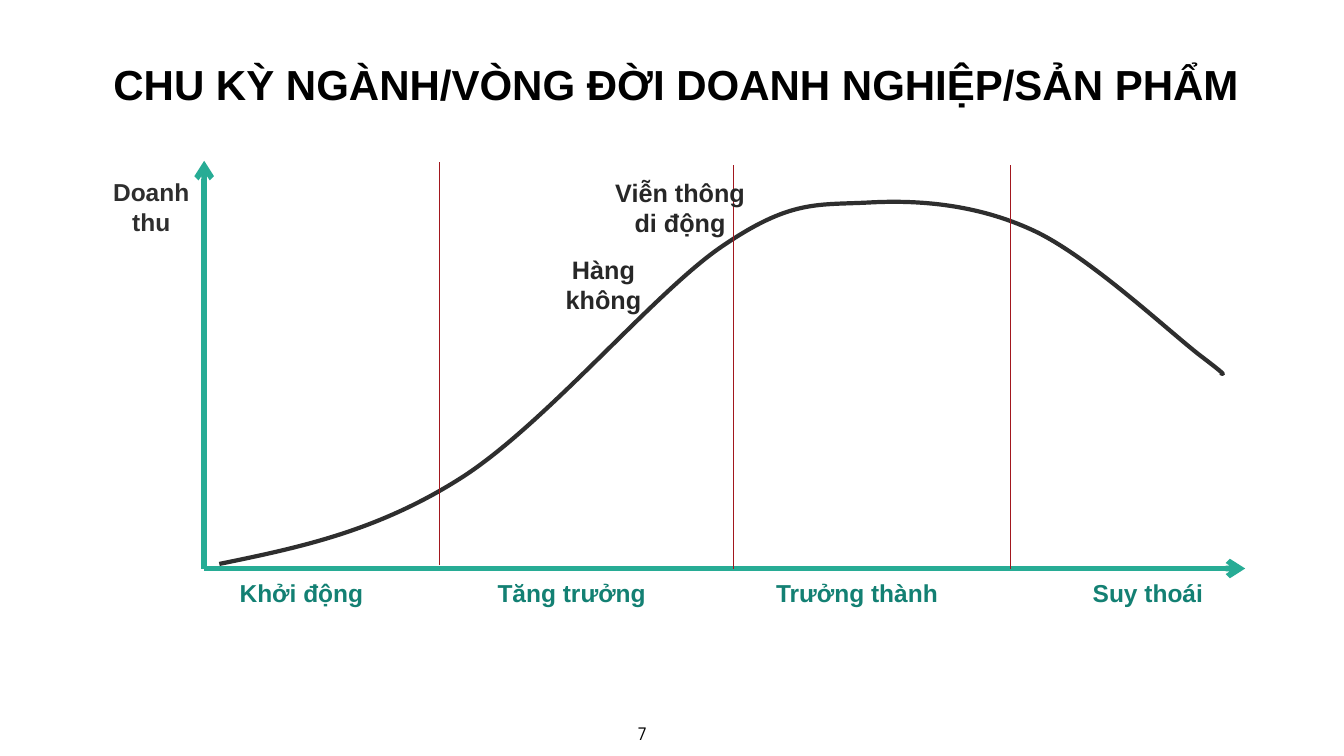
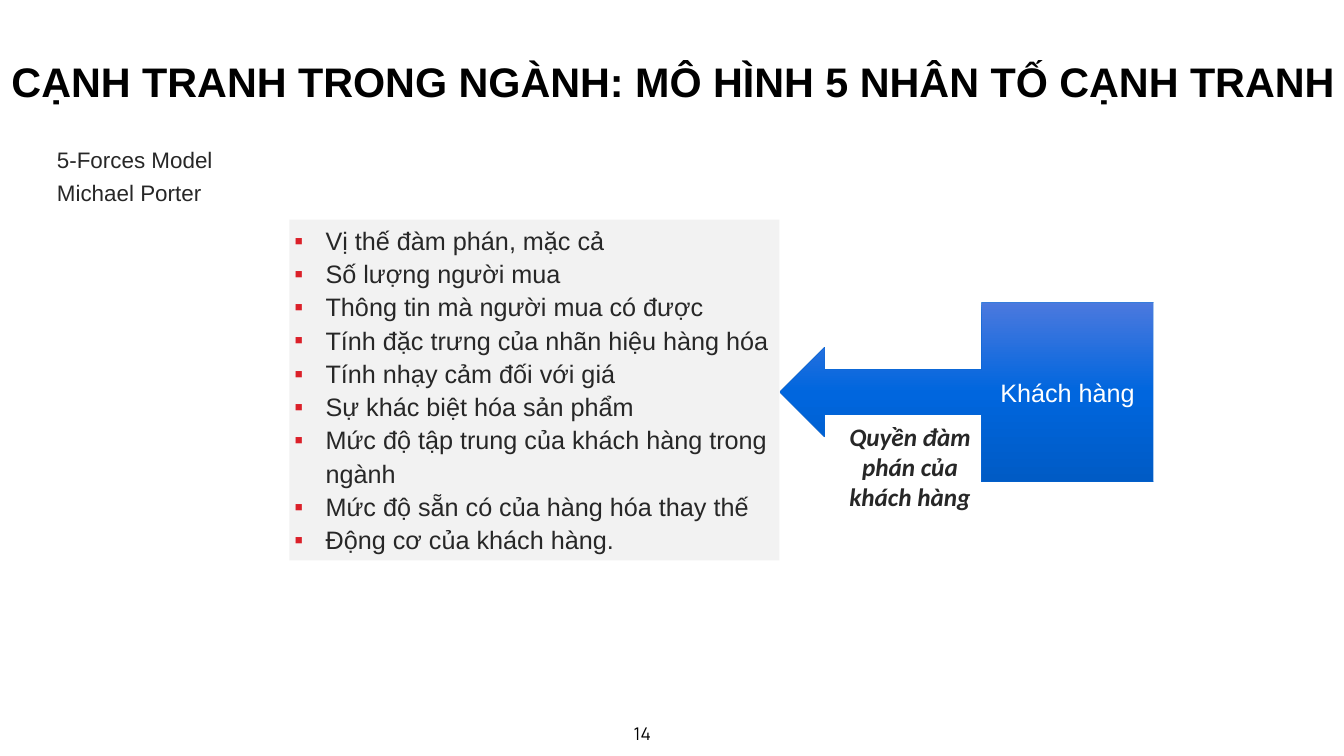
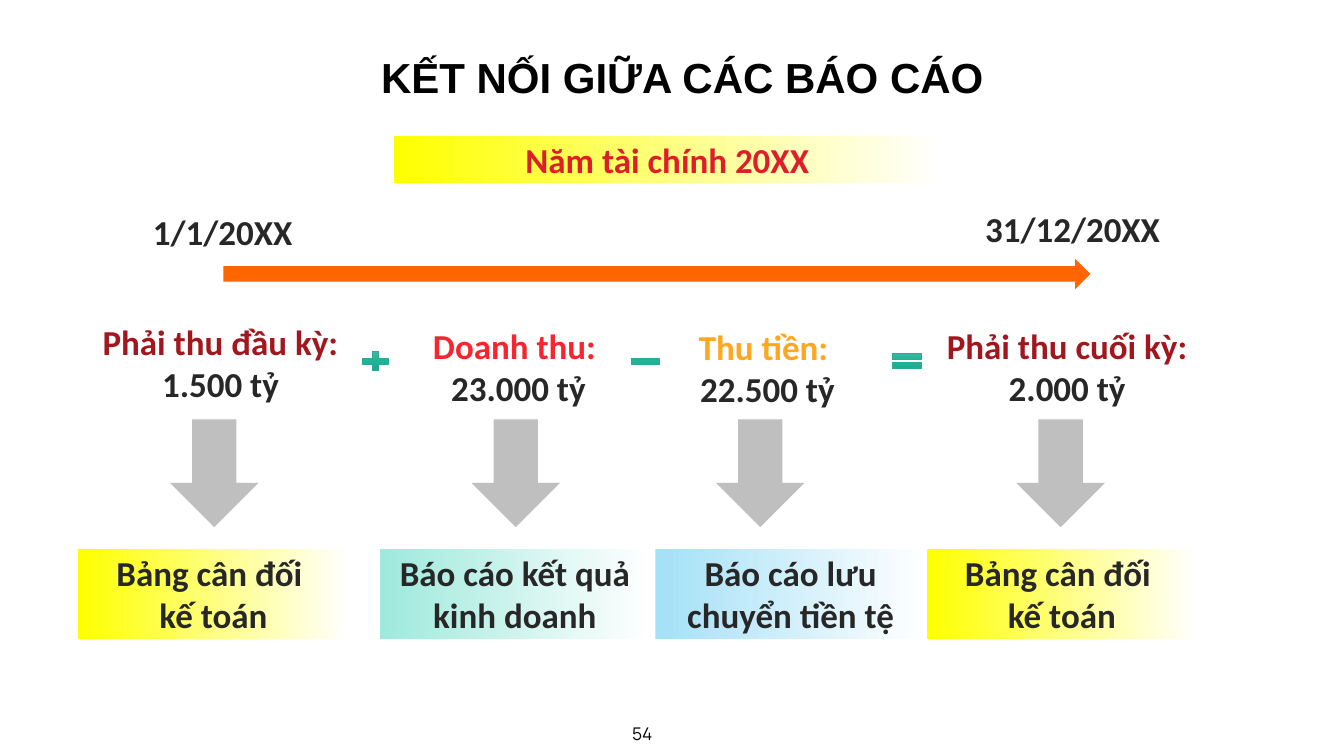
from lxml.etree import SubElement
from pptx import Presentation
from pptx.dml.color import RGBColor
from pptx.enum.shapes import MSO_CONNECTOR, MSO_SHAPE as SHAPE
from pptx.enum.text import MSO_ANCHOR as ANCHOR, MSO_AUTO_SIZE as AUTO, PP_ALIGN as ALIGN
from pptx.oxml.ns import qn
from pptx.util import Pt

PX = 9144  # 100 px to the inch
WIDE, HIGH = 2666, 1500

HUES = {
    "black": "000000", "white": "FFFFFF", "ink": "272727", "curve": "2E2E2E",
    "teal": "27AC95", "stage": "138073", "wine": "A2171E", "red": "DB2029",
    "rose": "F8242E", "amber": "FFA720", "orange": "FF6600", "grey": "BFBFBF",
    "pale": "F2F2F2", "yellow": "FFFF00", "mint": "9EE9DC", "sky": "A4E0F7",
    "blue": "0A67D4", "blue1": "4B79DE", "blue2": "0066DE", "blue3": "005BC5",
    "teal1": "51B7A2", "teal2": "20B399", "teal3": "17A58C",
}

TITLE = {"name": "Arial", "size": Pt(60), "bold": True}
PAGE = {"name": "Manrope", "size": Pt(25)}
AXIS = {"name": "Arial", "size": Pt(35), "bold": True}
TAG = {"name": "Arial", "size": Pt(36), "bold": True}
BODY = {"name": "Arial", "size": Pt(36)}
NOTE = {"name": "Arial", "size": Pt(32)}
POWER = {"name": "Calibri", "size": Pt(36), "bold": True, "italic": True}
BIG = {"name": "Calibri", "size": Pt(50), "bold": True}

CENTER = {"alignment": ALIGN.CENTER}


def rgb(hue):
    return RGBColor.from_string(HUES[hue])


def px(*vals):
    return [val * PX for val in vals]


def apply(obj, form):
    for key, val in form.items():
        setattr(obj, key, val)


def write(shape, lines, font, para=CENTER, hue="ink", grow=True):
    """Fill a shape with lines, each a string or a (string, hue) pair."""
    frame = shape.text_frame
    apply(frame, {"word_wrap": True, "auto_size": AUTO.SHAPE_TO_FIT_TEXT if grow else AUTO.NONE,
                  "vertical_anchor": ANCHOR.TOP if grow else ANCHOR.MIDDLE})
    for num, line in enumerate(lines):
        text, tone = line if isinstance(line, tuple) else (line, hue)
        par = frame.add_paragraph() if num else frame.paragraphs[0]
        apply(par, para)
        run = par.add_run()
        run.text = text
        apply(run.font, font)
        run.font.color.rgb = rgb(tone)


def label(slide, box, lines, font, para=CENTER, hue="ink"):
    write(slide.shapes.add_textbox(*px(*box)), lines, font, para, hue)


def shade(shape, hues, turn):
    """Blend evenly spaced hues; turn is counter-clockwise degrees."""
    shape.fill.gradient()
    shape.fill.gradient_angle = turn
    stops = shape._element.spPr.find(".//" + qn("a:gsLst"))
    stops.clear()
    for num, hue in enumerate(hues):
        stop = SubElement(stops, qn("a:gs"), pos=str(num * 100000 // (len(hues) - 1)))
        SubElement(stop, qn("a:srgbClr"), val=HUES[hue])


def block(slide, kind, box, hues, turn=0, edge=None):
    shape = slide.shapes.add_shape(kind, *px(*box))
    shape.shadow.inherit = False
    if len(hues) > 1:
        shade(shape, hues, turn)
    else:
        shape.fill.solid()
        shape.fill.fore_color.rgb = rgb(hues[0])
    if edge:
        shape.line.color.rgb = rgb(edge)
        shape.line.width = Pt(0.5)
    else:
        shape.line.fill.background()
    return shape


def card(slide, box, hue, lines, tone="ink"):
    """Text on a band that fades to white."""
    write(block(slide, SHAPE.RECTANGLE, box, [hue, "white"]), lines, BIG, hue=tone)


def rule(slide, start, end, hue, width, head=False):
    line = slide.shapes.add_connector(MSO_CONNECTOR.STRAIGHT, *px(*start, *end))
    line.line.color.rgb = rgb(hue)
    line.line.width = Pt(width)
    if head:
        SubElement(line.line._get_or_add_ln(), qn("a:tailEnd"), type="arrow")
    SubElement(line._element.spPr, qn("a:effectLst"))


def curve(slide, points, hue, width):
    """Draw a chain of cubic arcs: a start, then three points for each arc."""
    pen = slide.shapes.build_freeform(*points[0], scale=PX)
    pen.add_line_segments(points[1:], close=False)
    shape = pen.convert_to_shape()
    shape.shadow.inherit = False
    shape.fill.background()
    shape.line.color.rgb = rgb(hue)
    shape.line.width = Pt(width)
    track = shape._element.spPr.find(".//" + qn("a:path"))
    steps = track.findall(qn("a:lnTo"))
    for num in range(0, len(steps), 3):
        arc = SubElement(track, qn("a:cubicBezTo"))
        for step in steps[num:num + 3]:
            arc.append(step[0])
            track.remove(step)


def bullet(shape, mark, hue):
    for par in shape.text_frame.paragraphs:
        props = par._p.get_or_add_pPr()
        props.set("marL", str(62 * PX))
        props.set("indent", str(-62 * PX))
        SubElement(SubElement(props, qn("a:buClr")), qn("a:srgbClr"), val=HUES[hue])
        SubElement(props, qn("a:buFont"), typeface="Arial")
        SubElement(props, qn("a:buChar"), char=mark)


def start(deck, title, box, page, size=60):
    """Add a slide with its title and page number."""
    slide = deck.slides.add_slide(deck.slide_layouts[6])
    label(slide, (1195, 1429, 158, 52), [page], PAGE, hue="black")
    label(slide, box, [title], {**TITLE, "size": Pt(size)},
          {"line_spacing": 1.1, "space_after": Pt(6)}, "black")
    return slide


def cycle(deck):
    slide = start(deck, "CHU KỲ NGÀNH/VÒNG ĐỜI DOANH NGHIỆP/SẢN PHẨM",
                  (215, 101, 2543 - 215, 121), "7")
    curve(slide, [(435, 1119),
                  (591, 1087), (746, 1055), (912, 950),
                  (1079, 845), (1298, 580), (1432, 489),
                  (1567, 397), (1618, 407), (1721, 402),
                  (1824, 396), (1939, 406), (2049, 457),
                  (2160, 508), (2322, 661), (2384, 708),
                  (2446, 755), (2421, 740), (2421, 740)], "curve", 6)
    zero = (405, 1128)
    for tip in ((405, 319), (2470, 1128)):
        rule(slide, zero, tip, "teal", 8, head=True)
    stages = {"Khởi động": 353, "Tăng trưởng": 889, "Trưởng thành": 1455, "Suy thoái": 2032}
    for name, left in stages.items():
        label(slide, (left, 1142, 490, 69), [name], AXIS, hue="stage")
    label(slide, (55, 347, 490, 128), ["Doanh", "thu"], AXIS, hue="curve")
    for left, foot in ((871, 1122), (1455, 1128), (2005, 1128)):
        rule(slide, (left, foot), (left, foot - 800), "wine", 1)
    label(slide, (1209, 347, 280, 131), ["Viễn thông di động"], TAG)
    label(slide, (1057, 500, 280, 131), ["Hàng không"], TAG)


def forces(deck):
    slide = start(deck, "CẠNH TRANH TRONG NGÀNH: MÔ HÌNH 5 NHÂN TỐ CẠNH TRANH",
                  (13, 96, 2730, 111), "14", 59)
    buyer = block(slide, SHAPE.LEFT_ARROW_CALLOUT, (1547, 600, 741, 356),
                  ["blue1", "blue2", "blue3"], 270, "blue")
    for num, val in enumerate((0.25, 0.25, 0.25, 0.46)):
        buyer.adjustments[num] = val
    write(buyer, ["Khách hàng"], BODY, hue="white", grow=False)
    label(slide, (1639, 831, 332, 192), ["Quyền đàm phán của khách hàng"], POWER)
    label(slide, (103, 275, 700, 138), ["5-Forces Model", "Michael Porter"], NOTE,
          {"line_spacing": 1.2})
    factors = block(slide, SHAPE.RECTANGLE, (574, 436, 972, 676), ["pale"])
    write(factors, [
        "Vị thế đàm phán, mặc cả",
        "Số lượng người mua",
        "Thông tin mà người mua có được",
        "Tính đặc trưng của nhãn hiệu hàng hóa",
        "Tính nhạy cảm đối với giá",
        "Sự khác biệt hóa sản phẩm",
        "Mức độ tập trung của khách hàng trong ngành",
        "Mức độ sẵn có của hàng hóa thay thế",
        "Động cơ của khách hàng.",
    ], BODY, {"alignment": ALIGN.LEFT, "line_spacing": 1.1})
    bullet(factors, "▪", "red")


def reports(deck):
    slide = start(deck, "KẾT NỐI GIỮA CÁC BÁO CÁO", (746, 87, 1332, 121), "54")
    block(slide, SHAPE.RIGHT_ARROW, (443, 513, 1720, 61), ["orange"])
    label(slide, (0, 412, 884, 94), ["1/1/20XX"], BIG)
    label(slide, (1686, 407, 884, 94), ["31/12/20XX"], BIG)
    card(slide, (781, 270, 1086, 94), "yellow", ["Năm tài chính 20XX"], "red")

    amounts = [
        ("Phải thu đầu kỳ:", "wine", "1.500 tỷ", (190, 630, 495)),
        ("Doanh thu: ", "rose", "23.000 tỷ", (684, 638, 689)),
        ("Thu tiền: ", "amber", "22.500 tỷ", (1178, 640, 689)),
        ("Phải thu cuối kỳ:", "wine", "2.000 tỷ", (1867, 639, 500)),
    ]
    for name, hue, value, box in amounts:
        label(slide, (*box, 178), [(name, hue), value], BIG)

    signs = [(SHAPE.MATH_PLUS, 710, 70), (SHAPE.MATH_MINUS, 1242, 75),
             (SHAPE.MATH_EQUAL, 1760, 77)]
    for kind, left, width in signs:
        block(slide, kind, (left, 691, width, 51), ["teal1", "teal2", "teal3"], 270, "teal")

    sheet = ["Bảng cân đối ", "kế toán"]
    targets = [
        (337, 155, "yellow", sheet),
        (935, 753, "mint", ["Báo cáo kết quả kinh doanh"]),
        (1420, 1300, "sky", ["Báo cáo lưu chuyển tiền tệ"]),
        (2016, 1838, "yellow", sheet),
    ]
    for arrow, left, hue, lines in targets:
        block(slide, SHAPE.DOWN_ARROW, (arrow, 832, 176, 214), ["grey"])
        card(slide, (left, 1090, 537, 178), hue, lines)


def main():
    deck = Presentation()
    deck.slide_width, deck.slide_height = px(WIDE, HIGH)
    for build in (cycle, forces, reports):
        build(deck)
    deck.save("out.pptx")


if __name__ == "__main__":
    main()
